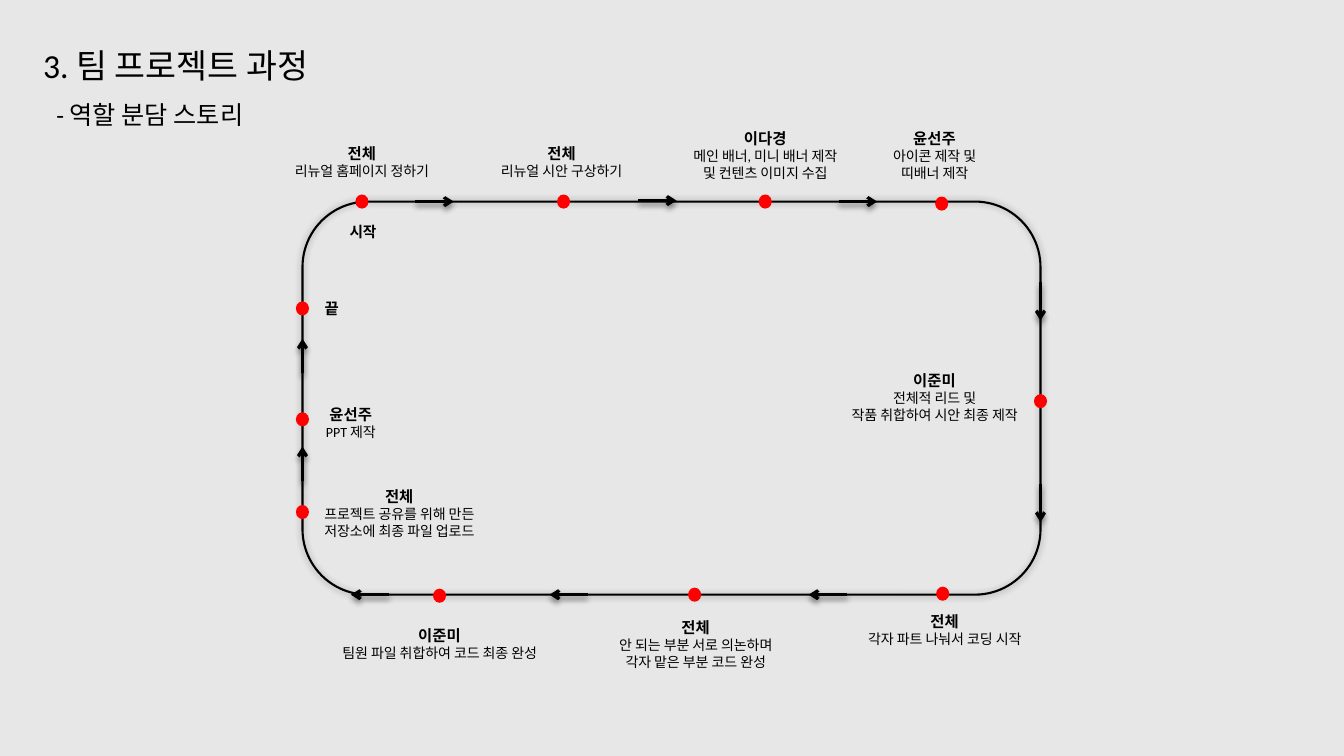
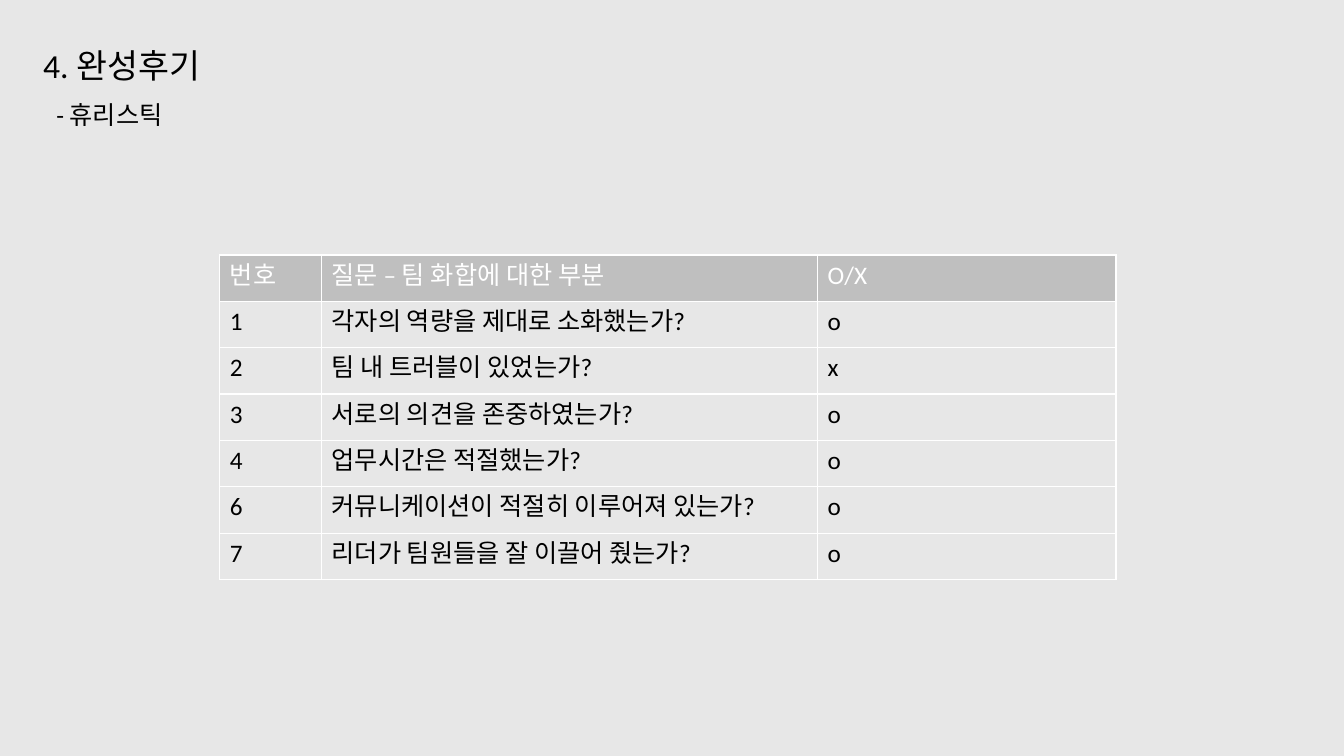
import dataclasses

import lxml.etree
import pptx
import pptx.dml.color
import pptx.enum.shapes
import pptx.enum.text
import pptx.oxml
import pptx.oxml.ns
import pptx.util

Inches = pptx.util.Inches
Pt = pptx.util.Pt
qn = pptx.oxml.ns.qn
SHAPE = pptx.enum.shapes.MSO_SHAPE
ALIGN = pptx.enum.text.PP_ALIGN


def rgb(value):
    return pptx.dml.color.RGBColor.from_string(value)


@dataclasses.dataclass(frozen=True)
class Theme:
    font: str = "Calibri"
    background: str = "E7E7E7"
    ink: str = "000000"
    white: str = "FFFFFF"
    header: str = "BFBFBF"
    dot: str = "FF0000"
    title: float = 24
    subtitle: float = 18
    table: float = 18
    name: float = 11
    start: float = 10.5
    task: float = 10
    loop_line: float = 1.5
    arrow_line: float = 2.25


THEME = Theme()

LEFT, TOP, RIGHT, BOTTOM = 3, 2, 10.32, 5.9
DOT_W, DOT_H = 0.13, 0.14

# Dot centres
DOTS = [
    (3.59, TOP), (5.59, TOP), (7.59, TOP), (9.34, 2.02),
    (RIGHT, 3.98),
    (9.35, 5.89), (6.89, BOTTOM), (4.36, 5.91),
    (LEFT, 5.08), (LEFT, 4.16), (LEFT, 3.06),
]

# Arrow start, then its run across and down
ARROWS = [
    (4.12, TOP, 0.38, 0), (6.33, 1.99, 0.38, 0), (8.32, TOP, 0.38, 0),
    (RIGHT, 2.8, 0, 0.38), (RIGHT, 4.8, 0, 0.38),
    (8.4, BOTTOM, -0.38, 0), (5.83, BOTTOM, -0.38, 0), (3.86, BOTTOM, -0.38, 0),
    (LEFT, 4.77, 0, -0.34), (LEFT, 3.7, 0, -0.34),
]

# Centre, top, width, name and task lines
CAPTIONS = [
    (3.59, 1.38, 1.7, "전체", "리뉴얼 홈페이지 정하기"),
    (5.57, 1.38, 1.56, "전체", "리뉴얼 시안 구상하기"),
    (7.59, 1.23, 1.77, "이다경", "메인 배너, 미니 배너 제작", "및 컨텐츠 이미지 수집"),
    (9.27, 1.23, 1.14, "윤선주", "아이콘 제작 및", "띠배너 제작"),
    (9.27, 3.63, 2.08, "이준미", "전체적 리드 및", "작품 취합하여 시안 최종 제작"),
    (9.37, 6.02, 1.94, "전체", "각자 파트 나눠서 코딩 시작"),
    (6.9, 6.08, 1.94, "전체", "안 되는 부분 서로 의논하며", "각자 맡은 부분 코드 완성"),
    (4.36, 6.16, 2.41, "이준미", "팀원 파일 취합하여 코드 최종 완성"),
    (3.96, 4.78, 1.89, "전체", "프로젝트 공유를 위해 만든", "저장소에 최종 파일 업로드"),
    (3.48, 3.97, 0.77, "윤선주", "PPT 제작"),
    (3.29, 2.92, 0.36, "끝"),
]

COLUMNS = [1.01, 4.92, 2.96]
ROW_H = 0.46
ROWS = [
    ("번호", "질문 – 팀 화합에 대한 부분", "O/X"),
    ("1", "각자의 역량을 제대로 소화했는가?", "o"),
    ("2", "팀 내 트러블이 있었는가?", "x"),
    ("3", "서로의 의견을 존중하였는가?", "o"),
    ("4", "업무시간은 적절했는가?", "o"),
    ("6", "커뮤니케이션이 적절히 이루어져 있는가?", "o"),
    ("7", "리더가 팀원들을 잘 이끌어 줬는가?", "o"),
]


def add_run(p, text, size, color=THEME.ink, bold=False):
    r = p.add_run()
    r.text = text
    values = {"name": THEME.font, "size": Pt(size), "bold": bold}
    for key, value in values.items():
        setattr(r.font, key, value)
    r.font.color.rgb = rgb(color)
    lxml.etree.SubElement(r._r.get_or_add_rPr(), qn("a:ea"), typeface=THEME.font)


def add_text(slide, box, lines, align=ALIGN.LEFT, wrap=False):
    """Write one paragraph for each (text, size, bold) line."""
    sp = slide.shapes.add_textbox(*map(Inches, box))
    tf = sp.text_frame
    tf.word_wrap = wrap
    for i, (text, size, bold) in enumerate(lines):
        p = tf.paragraphs[0] if i == 0 else tf.add_paragraph()
        p.alignment = align
        add_run(p, text, size, bold=bold)


def add_shadow(sp, blur, distance):
    """Cast a soft downward shadow from a shape or connector."""
    props = sp._element.spPr
    effects = props.find(qn("a:effectLst"))
    if effects is None:
        effects = lxml.etree.SubElement(props, qn("a:effectLst"))
    shadow = lxml.etree.SubElement(
        effects, qn("a:outerShdw"), blurRad=str(Pt(blur)),
        dist=str(Pt(distance)), dir="5400000", rotWithShape="0")
    color = lxml.etree.SubElement(shadow, qn("a:srgbClr"), val=THEME.ink)
    lxml.etree.SubElement(color, qn("a:alpha"), val="40000")


def add_loop(slide):
    sp = slide.shapes.add_shape(
        SHAPE.ROUNDED_RECTANGLE,
        *map(Inches, (LEFT, TOP, RIGHT - LEFT, BOTTOM - TOP)))
    sp.fill.background()
    sp.line.color.rgb = rgb(THEME.ink)
    sp.line.width = Pt(THEME.loop_line)
    sp.shadow.inherit = False
    add_shadow(sp, 5, 0)


def add_dot(slide, x, y):
    sp = slide.shapes.add_shape(
        SHAPE.OVAL,
        *map(Inches, (x - DOT_W / 2, y - DOT_H / 2, DOT_W, DOT_H)))
    sp.fill.solid()
    sp.fill.fore_color.rgb = rgb(THEME.dot)
    sp.line.fill.background()
    sp.shadow.inherit = False


def add_arrow(slide, x, y, dx, dy):
    sp = slide.shapes.add_connector(
        pptx.enum.shapes.MSO_CONNECTOR.STRAIGHT,
        *map(Inches, (x, y, x + dx, y + dy)))
    sp.line.color.rgb = rgb(THEME.ink)
    sp.line.width = Pt(THEME.arrow_line)
    lxml.etree.SubElement(sp.line._get_or_add_ln(), qn("a:tailEnd"), type="arrow")
    add_shadow(sp, 4, 3)


def add_caption(slide, center, top, width, name, *tasks, size=THEME.name):
    lines = [(name, size, True)] + [(task, THEME.task, False) for task in tasks]
    height = 0.29 + 0.17 * len(tasks)
    add_text(slide, (center - width / 2, top, width, height), lines, ALIGN.CENTER)


def set_borders(cell, color, width):
    props = cell._tc.get_or_add_tcPr()
    for i, side in enumerate(("a:lnL", "a:lnR", "a:lnT", "a:lnB")):
        ln = lxml.etree.Element(qn(side), w=str(Pt(width)))
        fill = lxml.etree.SubElement(ln, qn("a:solidFill"))
        lxml.etree.SubElement(fill, qn("a:srgbClr"), val=color)
        props.insert(i, ln)


def add_review_table(slide):
    table = slide.shapes.add_table(
        len(ROWS), len(COLUMNS),
        *map(Inches, (2.18, 2.53, sum(COLUMNS), ROW_H * len(ROWS)))).table
    table.first_row = table.horz_banding = False
    for column, width in zip(table.columns, COLUMNS):
        column.width = Inches(width)
    for i, row in enumerate(ROWS):
        table.rows[i].height = Inches(ROW_H)
        for j, text in enumerate(row):
            cell = table.cell(i, j)
            if i == 0:
                cell.fill.solid()
                cell.fill.fore_color.rgb = rgb(THEME.header)
            else:
                cell.fill.background()
            add_run(cell.text_frame.paragraphs[0], text, THEME.table,
                    THEME.white if i == 0 else THEME.ink)
            set_borders(cell, THEME.white, 1)


def new_slide(prs, title, subtitle):
    slide = prs.slides.add_slide(prs.slide_layouts[6])
    slide.background.fill.solid()
    slide.background.fill.fore_color.rgb = rgb(THEME.background)
    add_text(slide, (0.33, 0.4, 4.29, 0.5), [(title, THEME.title, False)], wrap=True)
    add_text(slide, (0.46, 0.94, 2.22, 0.4), [(subtitle, THEME.subtitle, False)])
    return slide


def build_process(prs):
    slide = new_slide(prs, "3. 팀 프로젝트 과정", "- 역할 분담 스토리")
    add_loop(slide)
    for arrow in ARROWS:
        add_arrow(slide, *arrow)
    for dot in DOTS:
        add_dot(slide, *dot)
    for caption in CAPTIONS:
        add_caption(slide, *caption)
    add_caption(slide, 3.6, 2.16, 0.51, "시작", size=THEME.start)


def build_review(prs):
    slide = new_slide(prs, "4. 완성후기", "- 휴리스틱")
    add_review_table(slide)


def main():
    prs = pptx.Presentation()
    prs.slide_width, prs.slide_height = Inches(13.33), Inches(7.5)
    build_process(prs)
    build_review(prs)
    prs.save("out.pptx")


if __name__ == "__main__":
    main()
